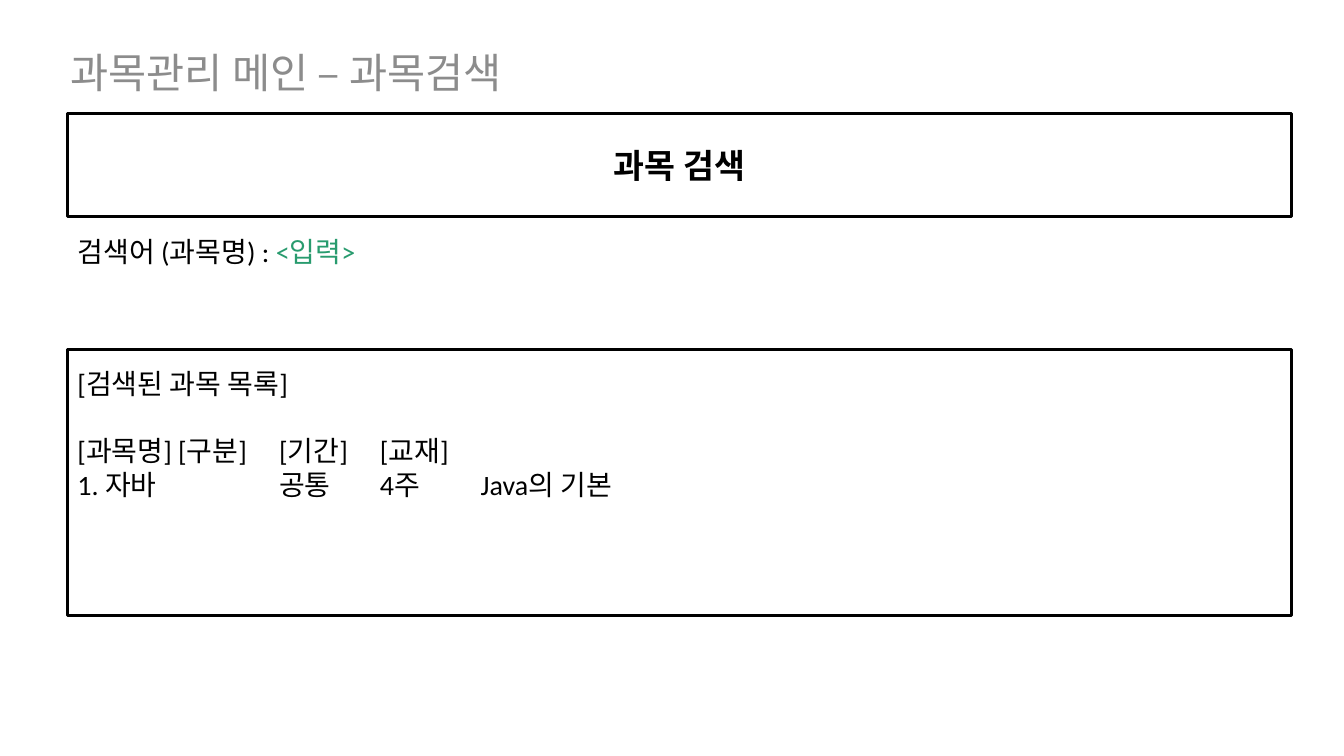
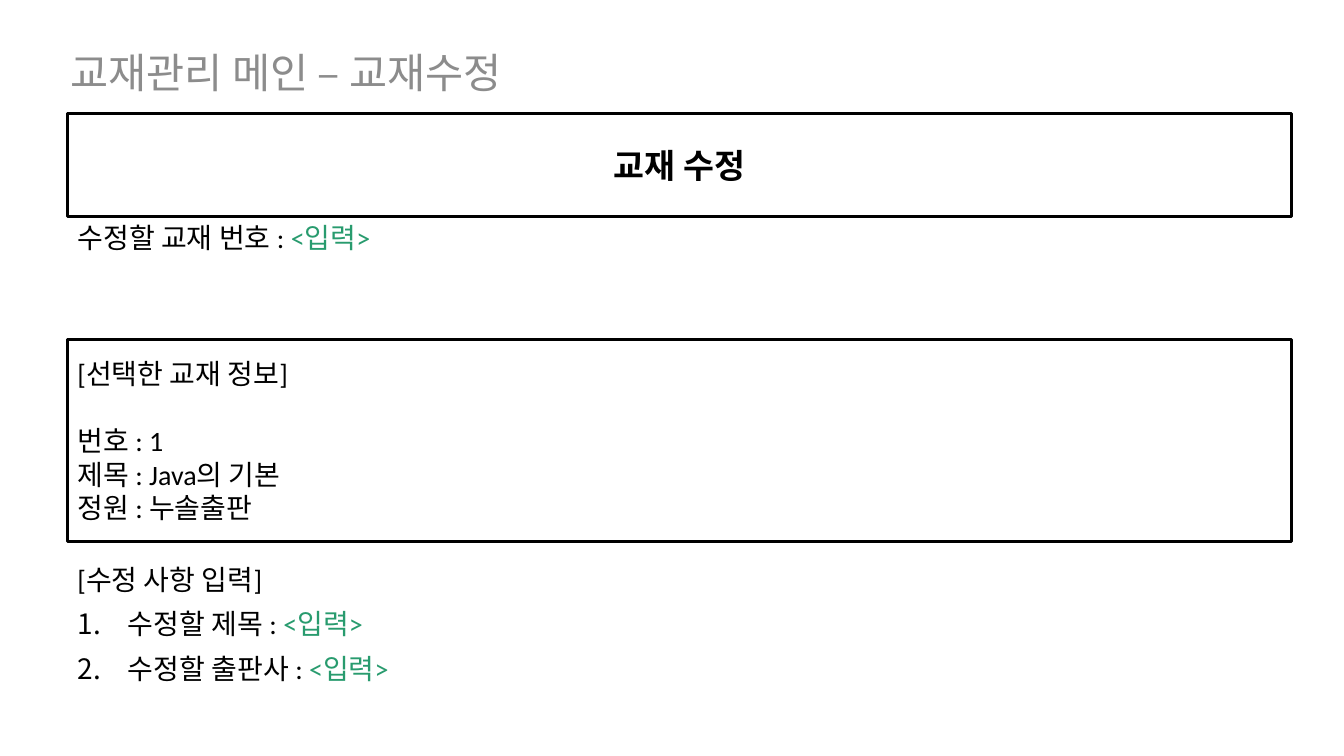
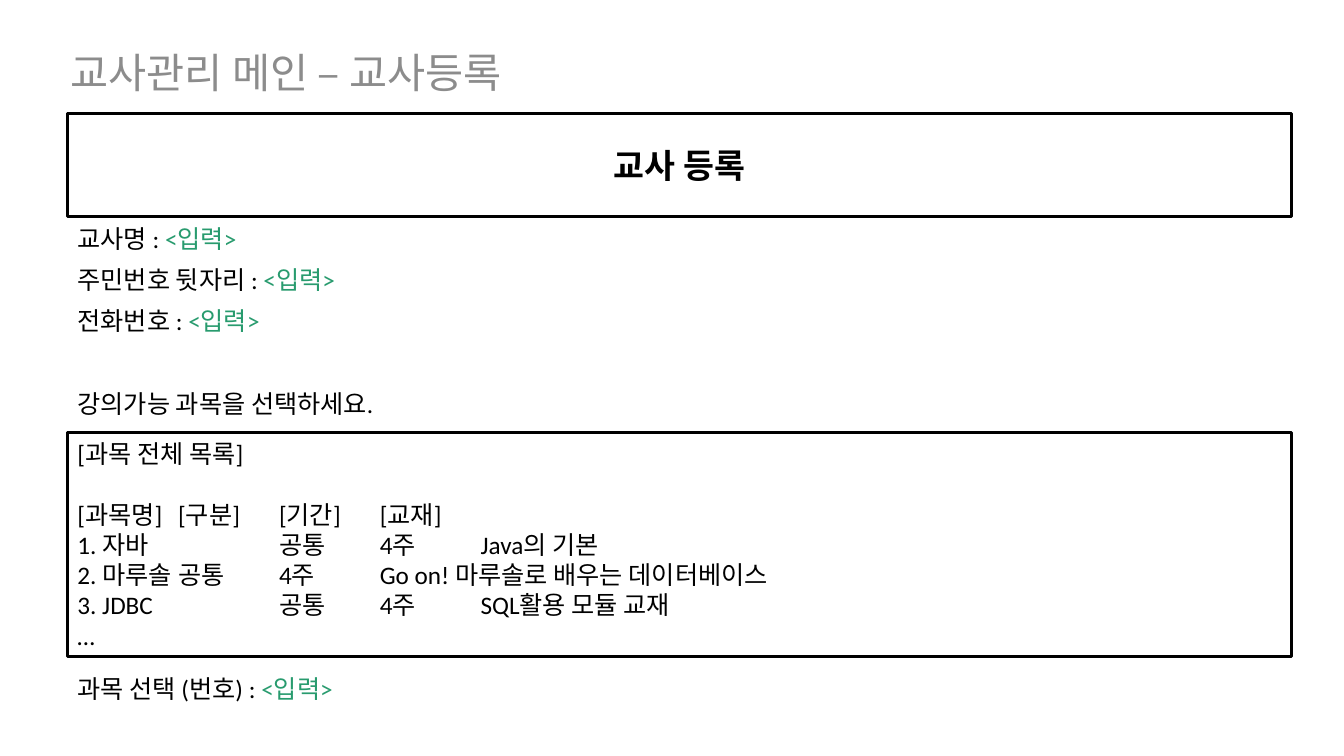
from collections import namedtuple
from lxml.etree import SubElement
from pptx import Presentation
from pptx.dml.color import RGBColor
from pptx.enum.shapes import MSO_SHAPE as Shape
from pptx.enum.text import MSO_ANCHOR as Anchor, PP_ALIGN as Align
from pptx.oxml.ns import qn
from pptx.util import Pt

Line = namedtuple("Line", "text gap numbered", defaults=(0, False))
Block = namedtuple("Block", "kind top height size lines inset", defaults=(3.6,))

INPUT = "<입력>"
COLORS = {"title": "8C8C8C", "text": "000000", "input": "289B6E"}
FONT = "Calibri"
LEFT, BOX_WIDTH, FORM_WIDTH = 48.24, 874.08, 850.32
TITLE_LEFT, TITLE_TOP, TITLE_HEIGHT, TITLE_SIZE = 43.2, 30.24, 36.72, 29.6
BANNER_TOP, BANNER_HEIGHT, BANNER_SIZE = 81.36, 73.44, 24
FORM_GAP, FORM_SPACING, NUMBER_INDENT = 10, 0.9, 36
TAB_WIDTH, TAB_COUNT = 72, 5

COLUMN_HEADS = "[과목명]\t[구분]\t[기간]\t[교재]"
JAVA_COURSE = "1. 자바 \t\t공통\t4주\tJava의 기본"

SCREENS = [
    ("과목관리 메인 – 과목검색", "과목 검색", [
        Block("list", 249.84, 190.08, 20, [
            Line("[검색된 과목 목록]"),
            Line(COLUMN_HEADS, 24),
            Line(JAVA_COURSE),
        ], 12),
        Block("form", 167.04, 59.76, 20, [Line("검색어 (과목명) : " + INPUT)]),
    ]),
    ("교재관리 메인 – 교재수정", "교재 수정", [
        Block("form", 156.96, 59.76, 20, [Line("수정할 교재 번호 : " + INPUT)]),
        Block("list", 242.64, 144, 20, [
            Line("[선택한 교재 정보]"),
            Line("번호 : 1", 24),
            Line("제목 : Java의 기본"),
            Line("정원 : 누솔출판"),
        ], 12),
        Block("form", 401.04, 108.72, 20, [
            Line("[수정 사항 입력]"),
            Line("수정할 제목 : " + INPUT, numbered=True),
            Line("수정할 출판사 : " + INPUT, numbered=True),
        ]),
    ]),
    ("교사관리 메인 – 교사등록", "교사 등록", [
        Block("form", 158.4, 141.12, 18, [
            Line("교사명 : " + INPUT),
            Line("주민번호 뒷자리 : " + INPUT),
            Line("전화번호 : " + INPUT),
            Line("강의가능 과목을 선택하세요.", 29.4),
        ]),
        Block("list", 308.88, 159.84, 18, [
            Line("[과목 전체 목록]"),
            Line(COLUMN_HEADS, 21.6),
            Line(JAVA_COURSE),
            Line("2. 마루솔\t공통\t4주\tGo on! 마루솔로 배우는 데이터베이스"),
            Line("3. JDBC\t\t공통\t4주\tSQL활용 모듈 교재"),
            Line("…"),
        ], 4.4),
        Block("form", 479.52, 93.6, 18, [Line("과목 선택 (번호) : " + INPUT)]),
    ]),
]


def add_run(paragraph, text, size, color, bold=False):
    run = paragraph.add_run()
    run.text = text
    run.font.name = FONT
    run.font.size = Pt(size)
    run.font.bold = bold
    run.font.color.rgb = RGBColor.from_string(COLORS[color])


def add_text_box(slide, left, top, width, height):
    shape = slide.shapes.add_textbox(Pt(left), Pt(top), Pt(width), Pt(height))
    shape.text_frame.word_wrap = True
    return shape.text_frame


def add_box(slide, top, height):
    shape = slide.shapes.add_shape(
        Shape.RECTANGLE, Pt(LEFT), Pt(top), Pt(BOX_WIDTH), Pt(height))
    shape.shadow.inherit = False
    shape.fill.background()
    shape.line.color.rgb = RGBColor.from_string(COLORS["text"])
    shape.line.width = Pt(2.25)
    shape.text_frame.word_wrap = True
    return shape.text_frame


def number(paragraph):
    properties = paragraph._p.get_or_add_pPr()
    properties.set("marL", str(Pt(NUMBER_INDENT)))
    properties.set("indent", str(-Pt(NUMBER_INDENT)))
    SubElement(properties, qn("a:buFont"), typeface="+mj-lt")
    SubElement(properties, qn("a:buAutoNum"), type="arabicPeriod")


def set_tabs(paragraph):
    tabs = SubElement(paragraph._p.get_or_add_pPr(), qn("a:tabLst"))
    for stop in range(1, TAB_COUNT + 1):
        SubElement(tabs, qn("a:tab"), pos=str(Pt(TAB_WIDTH * stop)), algn="l")


def add_block(slide, block):
    is_form = block.kind == "form"
    if is_form:
        frame = add_text_box(slide, LEFT, block.top, FORM_WIDTH, block.height)
    else:
        frame = add_box(slide, block.top, block.height)
    frame.vertical_anchor = Anchor.TOP
    frame.margin_top = Pt(block.inset)
    for index, line in enumerate(block.lines):
        paragraph = frame.add_paragraph() if index else frame.paragraphs[0]
        paragraph.alignment = Align.LEFT
        paragraph.space_before = Pt(line.gap + (FORM_GAP if is_form else 0))
        if is_form:
            paragraph.line_spacing = FORM_SPACING
        if line.numbered:
            number(paragraph)
        if "\t" in line.text:
            set_tabs(paragraph)
        label, field, _ = line.text.partition(INPUT)
        add_run(paragraph, label, block.size, "text")
        if field:
            add_run(paragraph, field, block.size, "input")


def add_header(slide, title, banner):
    frame = add_text_box(slide, TITLE_LEFT, TITLE_TOP, BOX_WIDTH, TITLE_HEIGHT)
    add_run(frame.paragraphs[0], title, TITLE_SIZE, "title")
    frame = add_box(slide, BANNER_TOP, BANNER_HEIGHT)
    frame.vertical_anchor = Anchor.MIDDLE
    frame.paragraphs[0].alignment = Align.CENTER
    add_run(frame.paragraphs[0], banner, BANNER_SIZE, "text", bold=True)


presentation = Presentation()
presentation.slide_width, presentation.slide_height = Pt(960), Pt(540)
for title, banner, blocks in SCREENS:
    slide = presentation.slides.add_slide(presentation.slide_layouts[6])
    add_header(slide, title, banner)
    for block in blocks:
        add_block(slide, block)
presentation.save("out.pptx")
